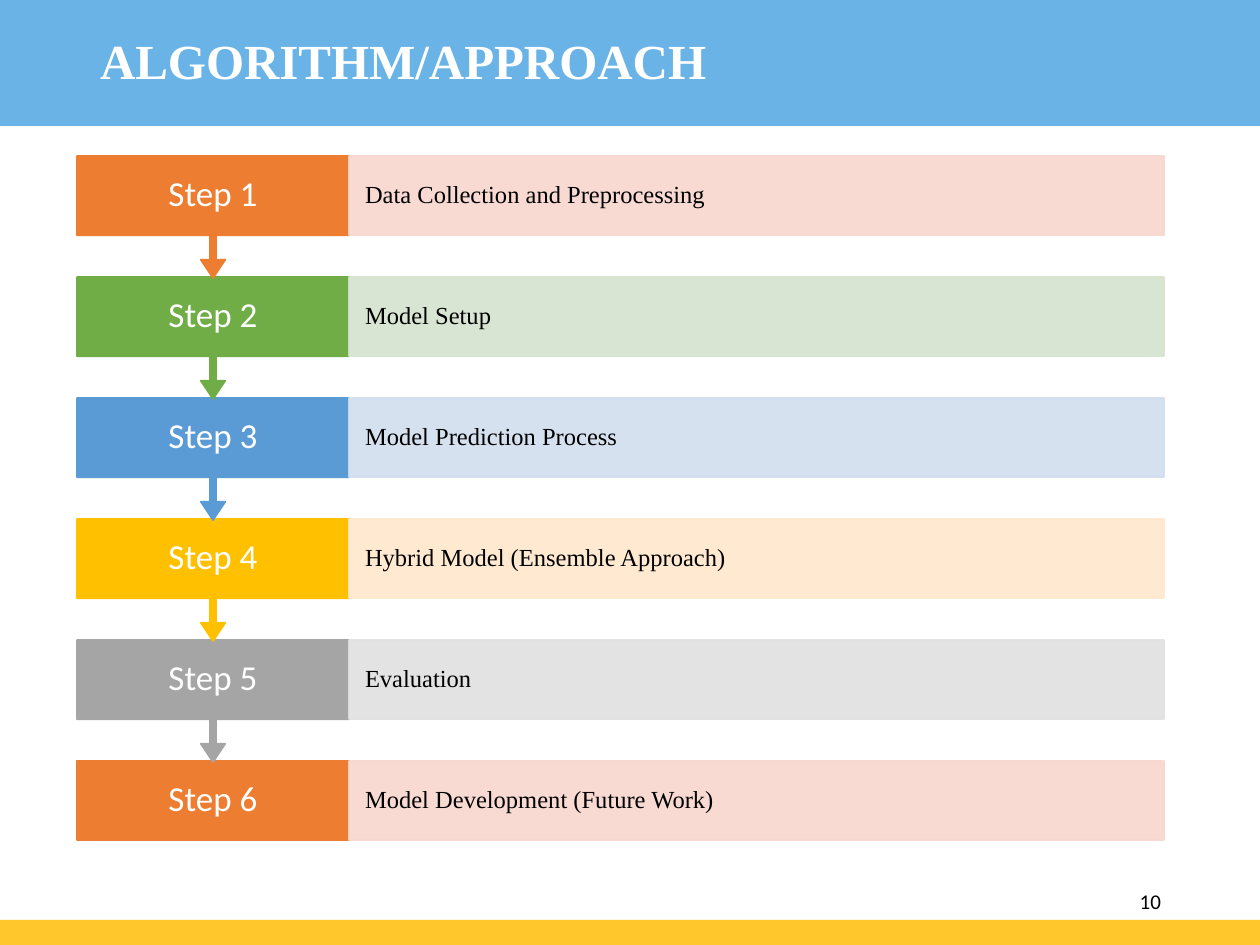
from lxml import etree
from pptx import Presentation, util as u
from pptx.dml.color import RGBColor
from pptx.enum import shapes, text
from pptx.oxml.ns import qn

PX = 914400 / 126  # EMU in one px

COLOURS = {
    "header": "69B3E7", "footer": "FFC72C", "white": "FFFFFF", "black": "000000",
    "orange": "ED7D31", "green": "70AD47", "blue": "5B9BD5",
    "gold": "FFC000", "grey": "A5A5A5",
    "pale orange": "F8D7CE", "pale green": "D5E3CF", "pale blue": "D2DEEF",
    "pale gold": "FFE8CC", "pale grey": "E1E1E1",
}

STEPS = [
    ("Data Collection and Preprocessing", "orange"),
    ("Model Setup", "green"),
    ("Model Prediction Process", "blue"),
    ("Hybrid Model (Ensemble Approach)", "gold"),
    ("Evaluation", "grey"),
    ("Model Development (Future Work)", "orange"),
]

# Step grid, in px
TOP, PITCH, ROW_HEIGHT, CALLOUT_HEIGHT = 156, 121, 79, 122
LABEL_LEFT, LABEL_WIDTH = 77, 272
BAR_LEFT, BAR_WIDTH = LABEL_LEFT + LABEL_WIDTH, 815


def px(*lengths):
    return [u.Emu(round(length * PX)) for length in lengths]


def colour(name):
    return RGBColor.from_string(COLOURS[name])


def set_opacity(colour_format_fill, percent):
    for tint in colour_format_fill.iter(qn("a:srgbClr")):
        etree.SubElement(tint, qn("a:alpha")).set("val", str(percent * 1000))


def add_block(page, kind, at, fill, outlined=True, opacity=100):
    shape = page.shapes.add_shape(kind, *px(*at))
    shape.shadow.inherit = False
    shape.fill.solid()
    shape.fill.fore_color.rgb = colour(fill)
    if outlined:
        shape.line.color.rgb = colour(fill)
        shape.line.width = u.Pt(1)
    else:
        shape.line.fill.background()
    if opacity < 100:
        set_opacity(shape.element.spPr, opacity)
    return shape


def write(shape, words, size, font, ink, align=text.PP_ALIGN.LEFT,
          insets=(13, 6), spacing=0.9, bold=False):
    frame = shape.text_frame
    frame.word_wrap = True
    frame.auto_size = text.MSO_AUTO_SIZE.NONE
    frame.vertical_anchor = text.MSO_ANCHOR.MIDDLE
    side, end = px(*insets)
    frame.margin_left = frame.margin_right = side
    frame.margin_top = frame.margin_bottom = end
    para = frame.paragraphs[0]
    para.alignment = align
    para.line_spacing = spacing
    span = para.add_run()
    span.text = words
    span.font.size = u.Pt(size)
    span.font.name = font
    span.font.bold = bold
    span.font.color.rgb = colour(ink)


def add_text(page, at, *args, **kwargs):
    write(page.shapes.add_textbox(*px(*at)), *args, **kwargs)


def add_title(page, at, words):
    title = page.shapes.title
    title.left, title.top, title.width, title.height = px(*at)
    write(title, words, 28, "Times New Roman", "white", bold=True)


def add_step(page, index, words, hue, is_last):
    top = TOP + index * PITCH
    label_at = (LABEL_LEFT, top, LABEL_WIDTH, ROW_HEIGHT)

    # Coloured block, with an arrow to the next step
    if is_last:
        add_block(page, shapes.MSO_SHAPE.RECTANGLE, label_at, hue)
    else:
        callout = add_block(page, shapes.MSO_SHAPE.UP_ARROW_CALLOUT,
                            (LABEL_LEFT, top, LABEL_WIDTH, CALLOUT_HEIGHT), hue)
        callout.rotation = 180
        for number, value in enumerate((0.05, 0.1, 0.15, 0.65)):
            callout.adjustments[number] = value
    add_text(page, label_at, f"Step {index + 1}", 20, "Calibri", "white",
             align=text.PP_ALIGN.CENTER, insets=(19, 20))

    # Pale description bar
    bar = add_block(page, shapes.MSO_SHAPE.RECTANGLE,
                    (BAR_LEFT, top, BAR_WIDTH, ROW_HEIGHT),
                    f"pale {hue}", opacity=90)
    write(bar, words, 14, "Times New Roman", "black", insets=(16, 24))


def main():
    deck = Presentation()
    deck.slide_width, deck.slide_height = px(1260, 945)
    page = deck.slides.add_slide(deck.slide_layouts.get_by_name("Title Only"))

    # Header and footer bands, kept behind the title
    for at, fill in (((0, 0, 1260, 126), "header"), ((0, 920, 1260, 25), "footer")):
        band = add_block(page, shapes.MSO_SHAPE.RECTANGLE, at, fill, outlined=False)
        page.shapes.title.element.addprevious(band.element)

    add_title(page, (87, 4, 901, 120), "ALGORITHM/APPROACH")
    add_text(page, (890, 876, 284, 50), "10", 12, "Calibri", "black",
             align=text.PP_ALIGN.RIGHT, spacing=1.0)

    # Last step first, so that each arrow lies over the block it points to
    for index, (words, hue) in reversed(list(enumerate(STEPS))):
        add_step(page, index, words, hue, is_last=index == len(STEPS) - 1)

    deck.save("out.pptx")


if __name__ == "__main__":
    main()
